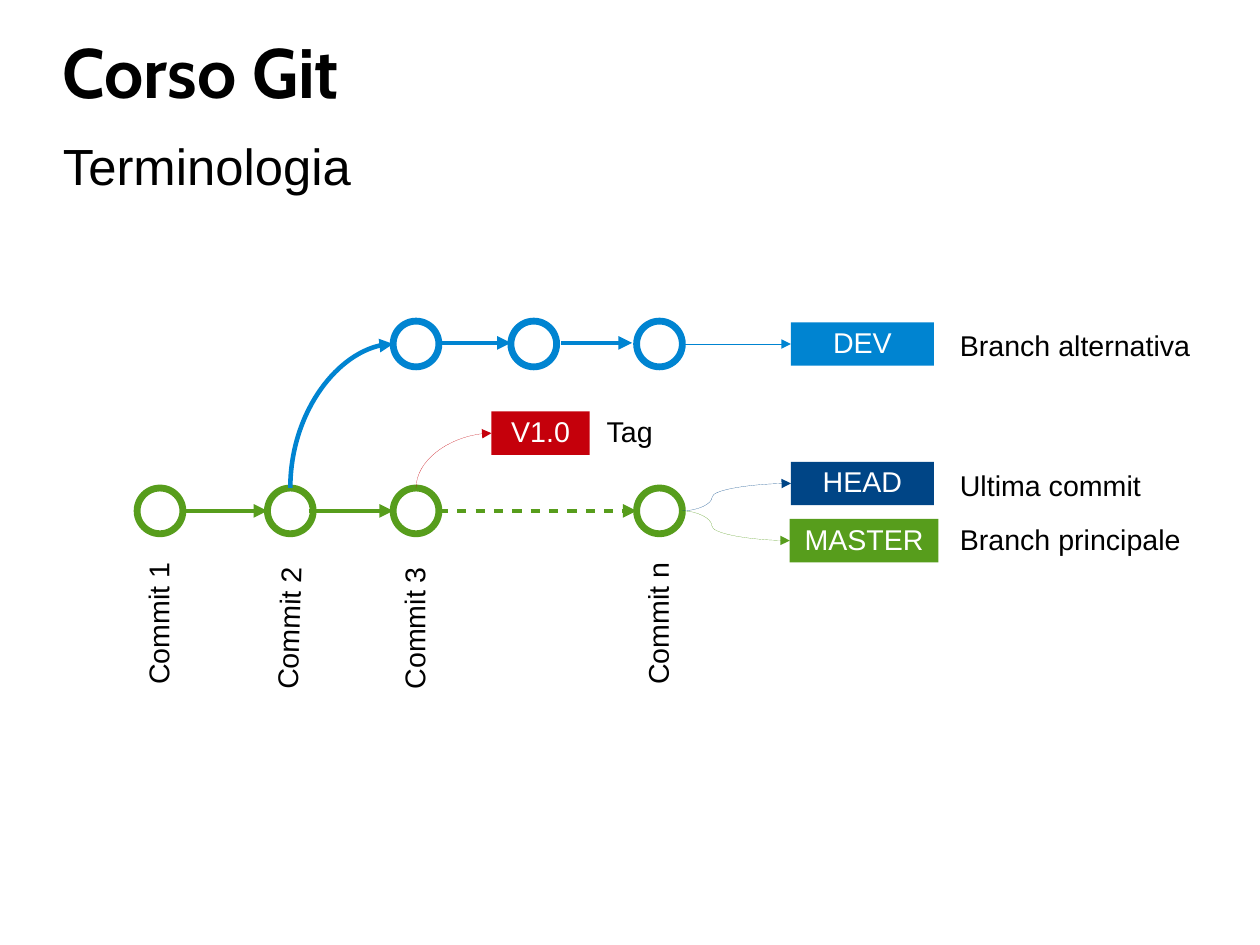
"""Build the Git terminology slide: commits, branches, tag and head."""
from lxml import etree
from pptx import Presentation
from pptx.dml.color import RGBColor
from pptx.enum.shapes import MSO_CONNECTOR, MSO_SHAPE
from pptx.enum.text import MSO_ANCHOR, PP_ALIGN
from pptx.oxml.ns import qn
from pptx.util import Inches, Pt

STRAIGHT, CURVE = MSO_CONNECTOR.STRAIGHT, MSO_CONNECTOR.CURVE
OVAL, RECTANGLE = MSO_SHAPE.OVAL, MSO_SHAPE.RECTANGLE
TOP, MIDDLE = MSO_ANCHOR.TOP, MSO_ANCHOR.MIDDLE
LEFT, CENTER = PP_ALIGN.LEFT, PP_ALIGN.CENTER

BLACK = RGBColor(0x00, 0x00, 0x00)
WHITE = RGBColor(0xFF, 0xFF, 0xFF)
GREEN = RGBColor(0x57, 0x9D, 0x1C)
BLUE = RGBColor(0x00, 0x84, 0xD1)
NAVY = RGBColor(0x00, 0x45, 0x86)
RED = RGBColor(0xC5, 0x00, 0x0B)

CM_PER_INCH = 2.54
SLIDE_WIDTH, SLIDE_HEIGHT = 28 / CM_PER_INCH, 21 / CM_PER_INCH
DIAMETER = 0.4
RADIUS = DIAMETER / 2
BOX_HEIGHT = 0.38
LABEL_WIDTH = 1.3
RING_WIDTH, ARROW_WIDTH, HAIRLINE = 4.31, 2.89, 0
MASTER_Y, DEV_Y, DEV_ARROW_Y = 4.47, 3.01, 3

COMMITS = [
    ("Commit 1", 1.4, 5.44, 270),
    ("Commit 2", 2.54, 5.48, 271.7),
    ("Commit 3", 3.64, 5.48, 270),
    ("Commit n", 5.77, 5.44, 270),
]
DEV_COMMITS = [3.64, 4.67, 5.77]
REFERENCES = [
    ("HEAD", 6.92, 4.04, 1.25, NAVY),
    ("MASTER", 6.91, 4.54, 1.3, GREEN),
    ("DEV", 6.92, 2.82, 1.25, BLUE),
    ("V1.0", 4.3, 3.6, 0.86, RED),
]
CAPTIONS = [
    ("Ultima commit", 8.3, 4.07, 1.8),
    ("Branch principale", 8.3, 4.54, 2.2),
    ("Branch alternativa", 8.3, 2.85, 2.3),
    ("Tag", 5.21, 3.6, 0.79),
]
ARROWS = [
    (1.6, 2.34, MASTER_Y, GREEN, False),
    (2.7, 3.44, MASTER_Y, GREEN, False),
    (3.84, 5.57, MASTER_Y, GREEN, True),
    (3.84, 4.47, DEV_ARROW_Y, BLUE, False),
    (4.91, 5.53, DEV_ARROW_Y, BLUE, False),
]
S_CURVES = [
    ((5.97, MASTER_Y), (6.92, 4.23), NAVY),
    ((5.97, MASTER_Y), (6.91, 4.73), GREEN),
]
QUARTER_CURVES = [
    ((2.54, 4.27), (3.44, DEV_Y), BLUE, ARROW_WIDTH),
    ((3.64, 4.27), (4.3, 3.79), RED, HAIRLINE),
]


def write(shape, text, size=18, font="Arial", color=BLACK, bold=False,
          align=LEFT, anchor=TOP, margins=(0.1, 0.05), space_after=0):
    frame = shape.text_frame
    frame.word_wrap = True
    frame.vertical_anchor = anchor
    frame.margin_left = frame.margin_right = Inches(margins[0])
    frame.margin_top = frame.margin_bottom = Inches(margins[1])
    paragraph = frame.paragraphs[0]
    paragraph.alignment = align
    paragraph.line_spacing = 0.93
    paragraph.space_after = Pt(space_after)
    run = paragraph.add_run()
    run.text = text
    run.font.name = font
    run.font.size = Pt(size)
    run.font.bold = bold
    run.font.color.rgb = color


def add_text(slide, text, left, top, width, height=BOX_HEIGHT, **text_format):
    box = slide.shapes.add_textbox(*map(Inches, (left, top, width, height)))
    write(box, text, **text_format)
    return box


def add_commit(slide, center_x, center_y, color):
    circle = slide.shapes.add_shape(
        OVAL, Inches(center_x - RADIUS), Inches(center_y - RADIUS),
        Inches(DIAMETER), Inches(DIAMETER))
    circle.shadow.inherit = False
    circle.fill.background()
    circle.line.color.rgb = color
    circle.line.width = Pt(RING_WIDTH)


def add_reference(slide, text, left, top, width, color):
    box = slide.shapes.add_shape(
        RECTANGLE, *map(Inches, (left, top, width, BOX_HEIGHT)))
    box.shadow.inherit = False
    box.fill.solid()
    box.fill.fore_color.rgb = color
    box.line.fill.background()
    write(box, text, color=WHITE, align=CENTER)
    return box


def add_arrow(slide, kind, start, end, color, width, dashed=False):
    arrow = slide.shapes.add_connector(kind, *map(Inches, (*start, *end)))
    arrow.line.color.rgb = color
    line = arrow.line._get_or_add_ln()
    line.set("w", str(int(Pt(width))))
    if dashed:
        dashes = etree.SubElement(line, qn("a:custDash"))
        etree.SubElement(dashes, qn("a:ds"), d="200000", sp="200000")
    etree.SubElement(line, qn("a:tailEnd"), type="triangle")
    etree.SubElement(arrow._element.spPr, qn("a:effectLst"))
    return arrow


def add_s_curve(slide, start, end, color):
    arrow = add_arrow(slide, CURVE, start, end, color, HAIRLINE)
    adjustments = arrow._element.spPr.find(qn("a:prstGeom")).find(qn("a:avLst"))
    etree.SubElement(adjustments, qn("a:gd"), name="adj1", fmla="val 27400")


def add_quarter_curve(slide, start, end, color, width):
    center_x, center_y = (start[0] + end[0]) / 2, (start[1] + end[1]) / 2
    half_run, half_rise = (end[0] - start[0]) / 2, (start[1] - end[1]) / 2
    arrow = add_arrow(
        slide, CURVE, (center_x + half_rise, center_y + half_run),
        (center_x - half_rise, center_y - half_run), color, width)
    properties = arrow._element.spPr
    properties.find(qn("a:prstGeom")).set("prst", "curvedConnector2")
    properties.find(qn("a:xfrm")).set("rot", "5400000")


def main():
    presentation = Presentation()
    presentation.slide_width = Inches(SLIDE_WIDTH)
    presentation.slide_height = Inches(SLIDE_HEIGHT)
    slide = presentation.slides.add_slide(presentation.slide_layouts[6])

    add_text(slide, "Corso Git", 0.55, 0.32, 9.91, 0.68, size=44,
             font="Cabin", bold=True, anchor=MIDDLE, margins=(0, 0))
    add_text(slide, "Terminologia", 0.55, 1.2, 9.85, 6.1, size=32,
             margins=(0, 0.03), space_after=14.2)

    for text, center_x, center_y, rotation in COMMITS:
        add_commit(slide, center_x, MASTER_Y, GREEN)
        label = add_text(slide, text, center_x - LABEL_WIDTH / 2,
                         center_y - BOX_HEIGHT / 2, LABEL_WIDTH)
        label.rotation = rotation
    for center_x in DEV_COMMITS:
        add_commit(slide, center_x, DEV_Y, BLUE)

    references = {row[0]: add_reference(slide, *row) for row in REFERENCES}
    for caption in CAPTIONS:
        add_text(slide, *caption)

    for start_x, end_x, y, color, dashed in ARROWS:
        add_arrow(slide, STRAIGHT, (start_x, y), (end_x, y), color,
                  ARROW_WIDTH, dashed)
    dev_arrow = add_arrow(slide, STRAIGHT, (5.97, DEV_Y), (6.92, DEV_Y),
                          BLUE, HAIRLINE)
    dev_arrow.end_connect(references["DEV"], 1)
    for curve in S_CURVES:
        add_s_curve(slide, *curve)
    for curve in QUARTER_CURVES:
        add_quarter_curve(slide, *curve)

    presentation.save("out.pptx")


if __name__ == "__main__":
    main()
